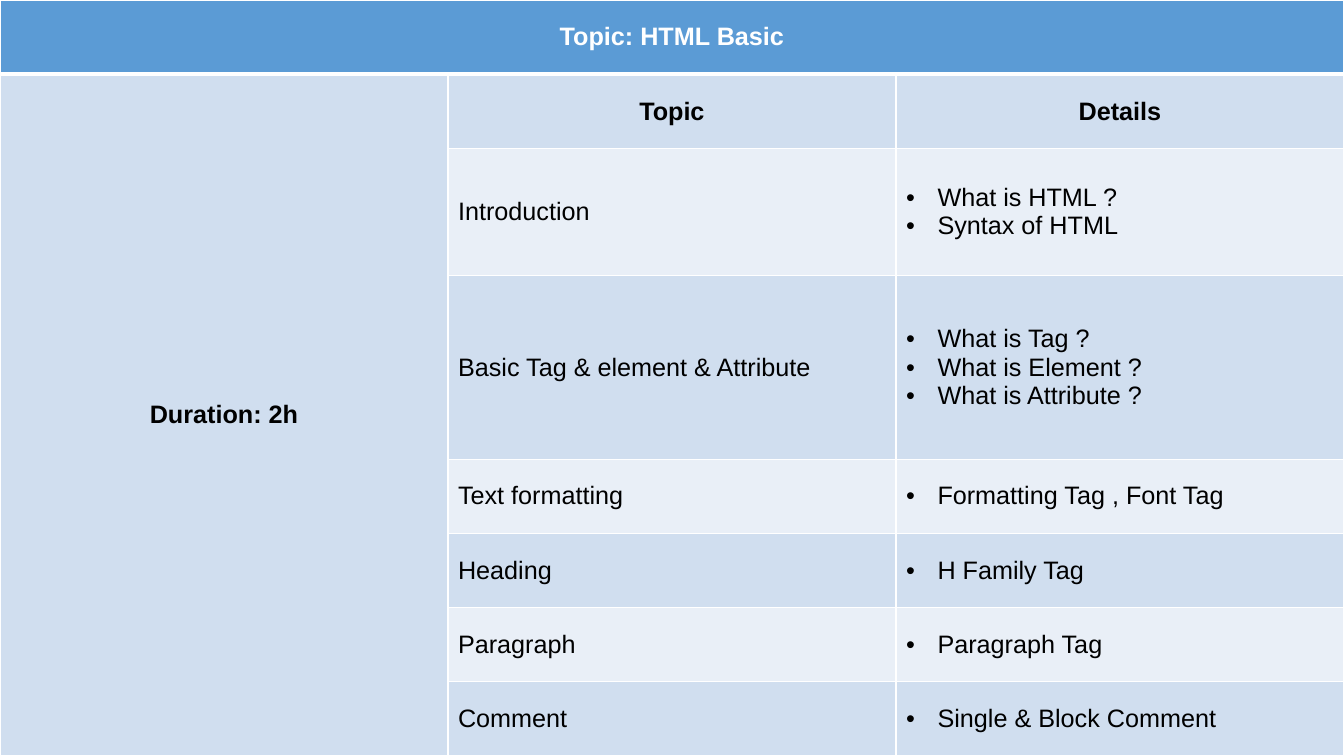
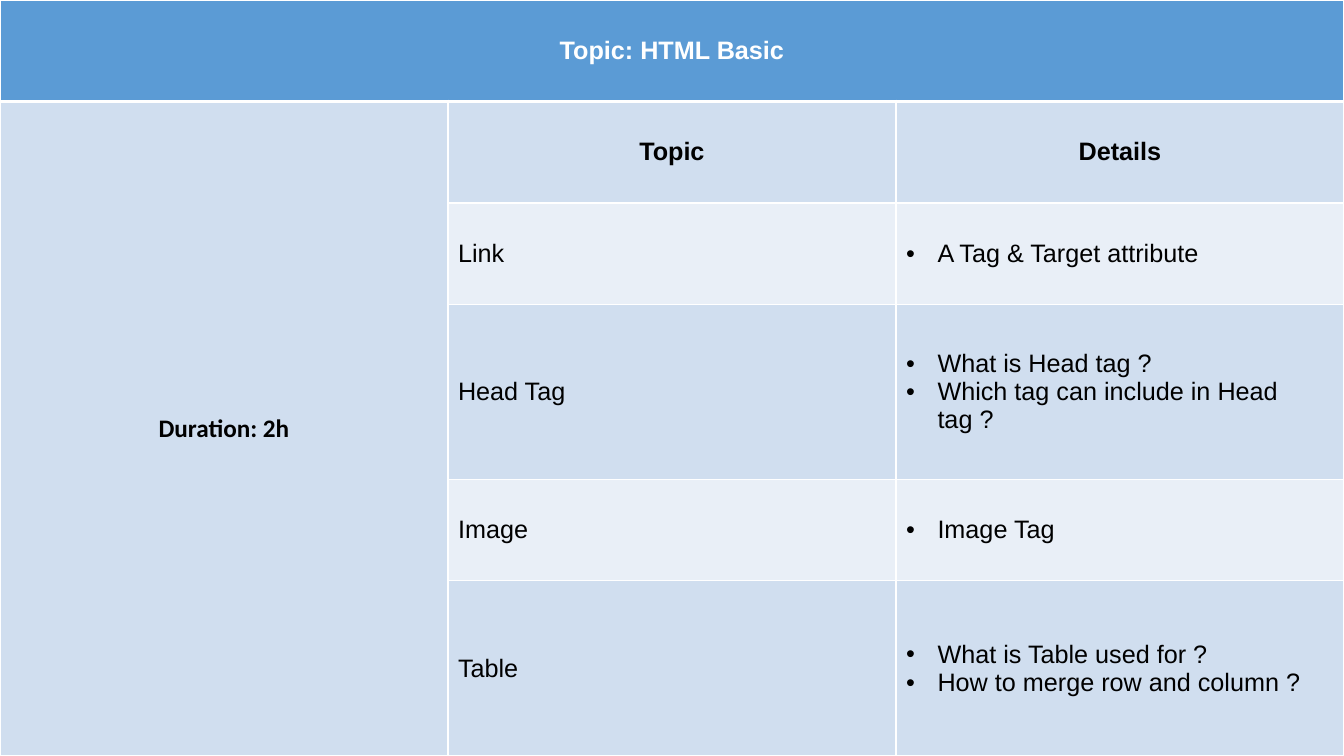
from lxml.etree import SubElement
from pptx import Presentation
from pptx.dml.color import RGBColor
from pptx.enum.text import MSO_ANCHOR, PP_ALIGN
from pptx.oxml.ns import qn
from pptx.util import Pt

WIDTH, HEIGHT = 960, 540
HEADER, BAND, LIGHT_BAND = "5B9BD5", "D0DEEF", "E9EFF7"
WHITE, BLACK = "FFFFFF", "000000"
BULLET_INDENT = 22.5

TITLE = "Topic: HTML Basic"
DURATION = "Duration: 2h"
# Each lesson: topic, details, row height
BASICS = [
    ("Introduction", ["What is HTML ?", "Syntax of HTML"], 91),
    ("Basic Tag & element & Attribute",
     ["What is Tag ?", "What is Element ?", "What is Attribute ?"], 131),
    ("Text formatting", ["Formatting Tag , Font Tag"], 53),
    ("Heading", ["H Family Tag"], 53),
    ("Paragraph", ["Paragraph Tag"], 53),
    ("Comment", ["Single & Block Comment"], 53),
]
TAGS = [
    ("Link", ["A Tag & Target attribute"], 72.5),
    ("Head Tag", ["What is Head tag ?", "Which tag can include in Head tag ?"], 125),
    ("Image", ["Image Tag"], 72.5),
    ("Table", ["What is Table used for ?", "How to merge row and column ?"], 125),
]


def rgb(color):
    return RGBColor.from_string(color)


def add_border(cell, side, width):
    ln = SubElement(cell._tc.get_or_add_tcPr(), qn(f"a:ln{side}"), w=str(Pt(width)))
    fill = SubElement(ln, qn("a:solidFill"))
    SubElement(fill, qn("a:srgbClr"), val=WHITE)


def style_cell(cell, row):
    """Give a cell its borders and band; the rule under the header is thicker."""
    for side in "LRTB":
        under_header = (row, side) in ((0, "B"), (1, "T"))
        add_border(cell, side, 3 if under_header else 1)
    cell.fill.solid()
    band = BAND if row % 2 else LIGHT_BAND
    cell.fill.fore_color.rgb = rgb(band if row else HEADER)
    cell.vertical_anchor = MSO_ANCHOR.MIDDLE


def add_bullet(p):
    pPr = p._p.get_or_add_pPr()
    pPr.set("marL", str(Pt(BULLET_INDENT)))
    pPr.set("indent", str(-Pt(BULLET_INDENT)))
    color = SubElement(pPr, qn("a:buClr"))
    SubElement(color, qn("a:srgbClr"), val=BLACK)
    SubElement(pPr, qn("a:buFont"), typeface="Arial")
    SubElement(pPr, qn("a:buChar"), char="•")


def write_cell(cell, lines, heading=False, bullets=False, color=BLACK, font="Arial"):
    tf = cell.text_frame
    for i, line in enumerate(lines):
        p = tf.add_paragraph() if i else tf.paragraphs[0]
        p.alignment = PP_ALIGN.CENTER if heading else PP_ALIGN.LEFT
        if bullets:
            add_bullet(p)
        r = p.add_run()
        r.text = line
        r.font.name = font
        r.font.size = Pt(18)
        r.font.bold = heading
        r.font.color.rgb = rgb(color)


def add_lesson_table(s, left, top, width, height, lessons, head_height, duration_font):
    row_count = len(lessons) + 2
    table = s.shapes.add_table(row_count, 3, Pt(left), Pt(top), Pt(width), Pt(height)).table
    table.first_row = table.horz_banding = False
    for column in table.columns:
        column.width = Pt(width / 3)
    heights = [head_height] * 2 + [lesson[2] for lesson in lessons]
    for i, row_height in enumerate(heights):
        table.rows[i].height = Pt(row_height)
        for cell in table.rows[i].cells:
            style_cell(cell, i)

    table.cell(0, 0).merge(table.cell(0, 2))
    table.cell(1, 0).merge(table.cell(row_count - 1, 0))
    write_cell(table.cell(0, 0), [TITLE], heading=True, color=WHITE)
    write_cell(table.cell(1, 0), [DURATION], heading=True, font=duration_font)
    for column, label in enumerate(("Topic", "Details"), 1):
        write_cell(table.cell(1, column), [label], heading=True)
    for row, (topic, details, _) in enumerate(lessons, 2):
        write_cell(table.cell(row, 1), [topic])
        write_cell(table.cell(row, 2), details, bullets=True)


def main():
    prs = Presentation()
    prs.slide_width, prs.slide_height = Pt(WIDTH), Pt(HEIGHT)
    for lessons, head_height, duration_font in (
        (BASICS, 53, "Arial"),
        (TAGS, 72.5, "Calibri"),
    ):
        s = prs.slides.add_slide(prs.slide_layouts[6])
        add_lesson_table(s, 0, 0, WIDTH, HEIGHT, lessons, head_height, duration_font)
    prs.save("out.pptx")


if __name__ == "__main__":
    main()
